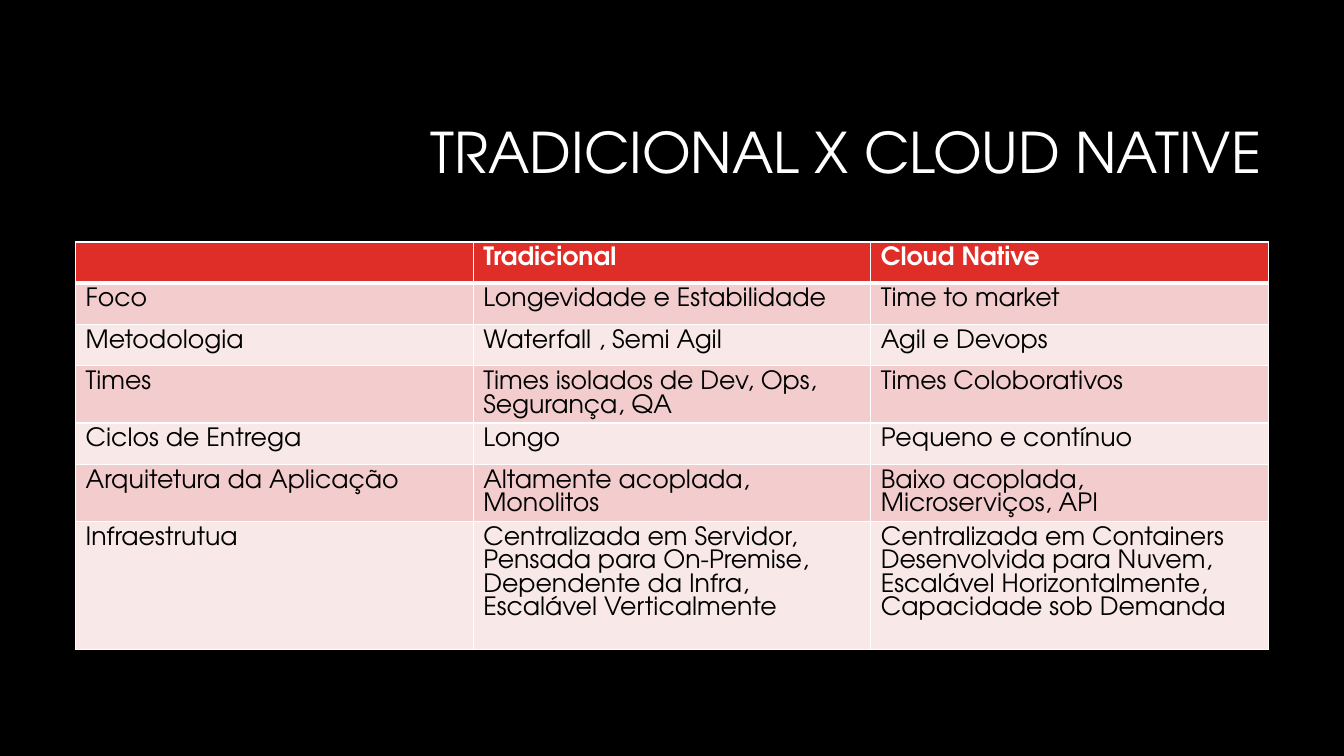
from lxml import etree
from pptx import Presentation
from pptx.dml.color import RGBColor
from pptx.enum import text
from pptx.oxml import ns
from pptx.util import Inches, Pt

BLACK = RGBColor(0x00, 0x00, 0x00)
WHITE = RGBColor(0xFF, 0xFF, 0xFF)
RED = RGBColor(0xDF, 0x2E, 0x28)
ROSE = RGBColor(0xF3, 0xCD, 0xCD)
PALE_ROSE = RGBColor(0xF9, 0xE8, 0xE8)

FONT = "TeX Gyre Adventor"
TITLE_FORMAT = {"name": FONT, "size": Pt(40), "bold": False}
HEADER_FORMAT = {"name": FONT, "size": Pt(18), "bold": True}
BODY_FORMAT = {**HEADER_FORMAT, "bold": False}

# Each row: height in inches, then the text of its cells
COMPARISON = [
    (0.41, "", "Tradicional", "Cloud Native"),
    (0.41, "Foco", "Longevidade e Estabilidade", "Time to market"),
    (0.41, "Metodologia", "Waterfall , Semi Agil", "Agil e Devops"),
    (0.56, "Times", "Times isolados de Dev, Ops, Segurança, QA", "Times Coloborativos"),
    (0.41, "Ciclos de Entrega", "Longo", "Pequeno e contínuo"),
    (0.56, "Arquitetura da Aplicação", "Altamente acoplada, Monolitos",
     "Baixo acoplada, Microserviços, API"),
    (1.27, "Infraestrutua",
     "Centralizada em Servidor, Pensada para On-Premise, Dependente da Infra, "
     "Escalável Verticalmente",
     "Centralizada em Containers\nDesenvolvida para Nuvem, Escalável Horizontalmente,\n"
     "Capacidade sob Demanda"),
]


def format_font(font, values, color):
    for name, value in values.items():
        setattr(font, name, value)
    font.color.rgb = color


def add_title(slide, left, top, width, height):
    title = slide.shapes.title
    title.left, title.top, title.width, title.height = left, top, width, height
    frame = title.text_frame
    frame.text = "TRADICIONAL X CLOUD NATIVE"
    frame.word_wrap = True
    frame.vertical_anchor = text.MSO_ANCHOR.MIDDLE
    paragraph = frame.paragraphs[0]
    paragraph.alignment = text.PP_ALIGN.RIGHT
    paragraph.line_spacing = 0.9
    format_font(paragraph.runs[0].font, TITLE_FORMAT, WHITE)


def set_borders(cell, widths):
    """Draw white borders; widths maps a side (L, R, T, B) to points."""
    properties = cell._tc.get_or_add_tcPr()
    for side, width in widths.items():
        line = etree.SubElement(properties, ns.qn(f"a:ln{side}"), w=str(Pt(width)))
        fill = etree.SubElement(line, ns.qn("a:solidFill"))
        etree.SubElement(fill, ns.qn("a:srgbClr"), val=str(WHITE))


def fill_cell(cell, content, row_index):
    is_header = row_index == 0
    set_borders(cell, {"L": 1, "R": 1, "T": 3 if row_index == 1 else 1,
                       "B": 3 if is_header else 1})
    cell.fill.solid()
    cell.fill.fore_color.rgb = RED if is_header else (PALE_ROSE, ROSE)[row_index % 2]
    cell.text = content
    for paragraph in cell.text_frame.paragraphs:
        format_font(paragraph.font, HEADER_FORMAT if is_header else BODY_FORMAT,
                    WHITE if is_header else BLACK)
        for run in paragraph.runs:
            format_font(run.font, HEADER_FORMAT if is_header else BODY_FORMAT,
                        WHITE if is_header else BLACK)


def add_comparison_table(slide, left, top, width):
    height = Inches(sum(row[0] for row in COMPARISON))
    column_count = len(COMPARISON[0]) - 1
    table = slide.shapes.add_table(
        len(COMPARISON), column_count, left, top, width, height).table
    for column in table.columns:
        column.width = width // column_count
    for row_index, (row_height, *contents) in enumerate(COMPARISON):
        table.rows[row_index].height = Inches(row_height)
        for cell, content in zip(table.rows[row_index].cells, contents):
            fill_cell(cell, content, row_index)


def main():
    presentation = Presentation()
    presentation.slide_width = Inches(13.33)
    presentation.slide_height = Inches(7.5)
    slide = presentation.slides.add_slide(
        presentation.slide_layouts.get_by_name("Title Only"))
    slide.background.fill.solid()
    slide.background.fill.fore_color.rgb = BLACK
    add_title(slide, Inches(3.19), Inches(0.84), Inches(9.42), Inches(1.41))
    add_comparison_table(slide, Inches(0.75), Inches(2.4), Inches(11.83))
    presentation.save("out.pptx")


if __name__ == "__main__":
    main()
